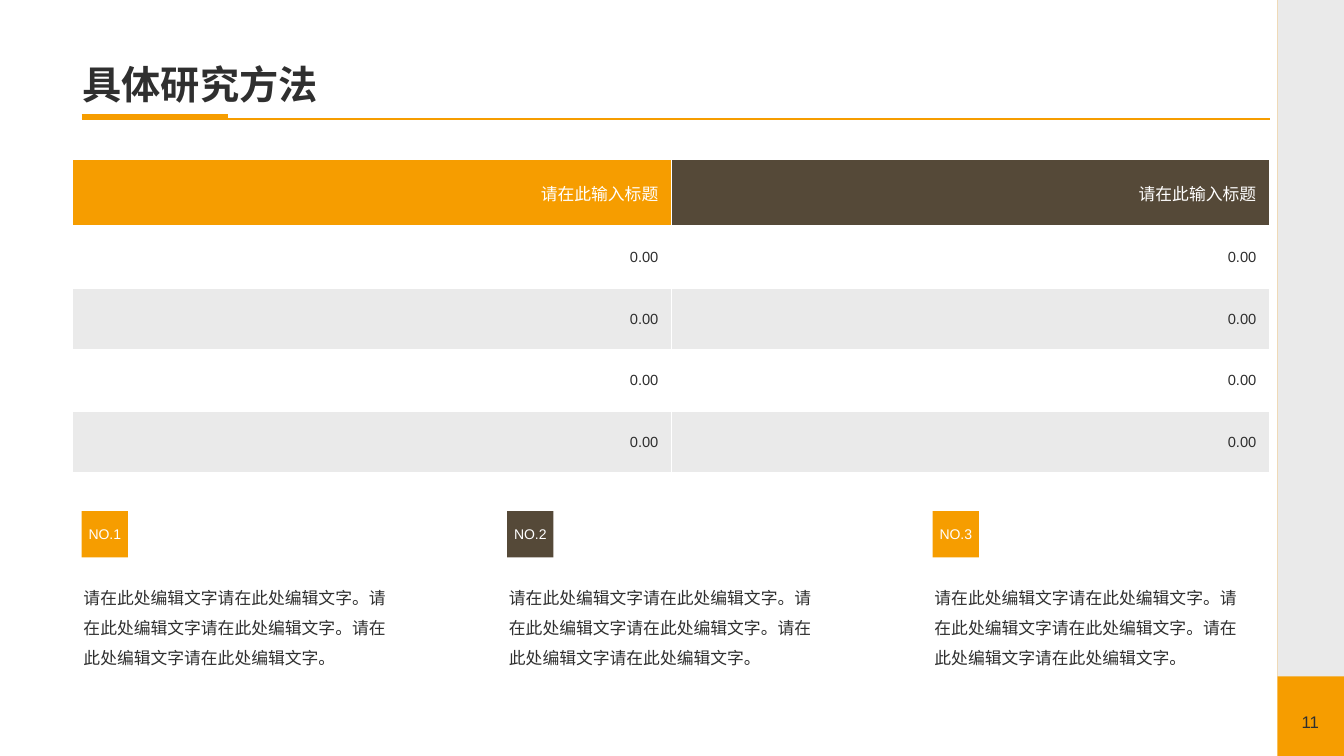
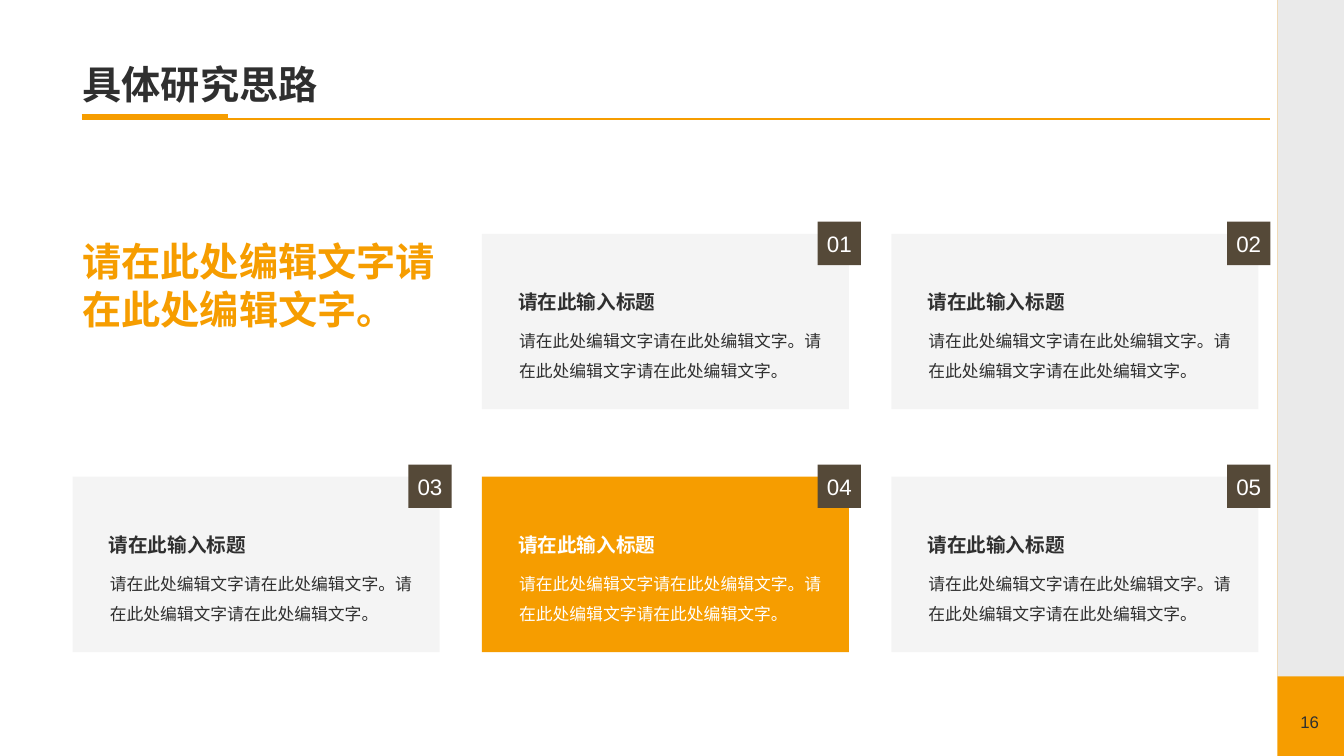
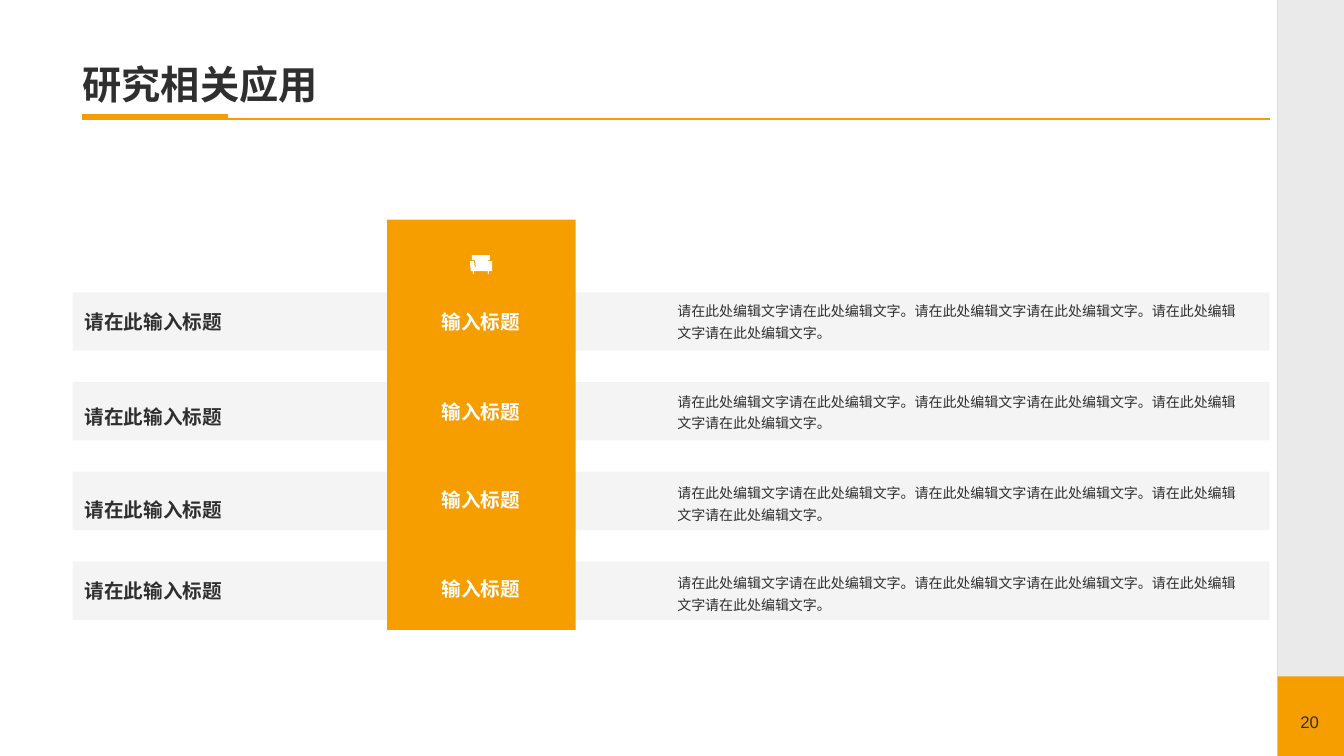
from lxml.etree import SubElement
from pptx import Presentation
from pptx.dml.color import RGBColor
from pptx.enum.shapes import MSO_CONNECTOR, MSO_SHAPE
from pptx.enum.text import MSO_ANCHOR, MSO_AUTO_SIZE, PP_ALIGN
from pptx.oxml import parse_xml
from pptx.oxml.ns import nsdecls, qn
from pptx.util import Inches, Pt

ORANGE, BROWN, INK, WHITE = "F69D00", "554938", "2F2F2F", "FFFFFF"
PANEL, GRAY, CHARCOAL = "EAEAEA", "979797", "393939"
HEADING = "请在此输入标题"
SHORT_HEADING = "输入标题"
SENTENCE = "请在此处编辑文字请在此处编辑文字。"


def rgb(color):
    return RGBColor.from_string(color)


def paint(fill, owner, color, opacity=100):
    fill.solid()
    fill.fore_color.rgb = rgb(color)
    if opacity < 100:
        swatch = next(owner.iter(qn("a:srgbClr")))
        SubElement(swatch, qn("a:alpha")).set("val", str(opacity * 1000))


class Deck:
    font = "Arial"

    def __init__(self):
        self.presentation = Presentation()
        self.presentation.slide_width = Inches(13.33)
        self.presentation.slide_height = Inches(7.5)
        self.layout = self.presentation.slide_layouts[5]
        self.slide = None

    def add_slide(self, title, number):
        first = self.slide is None
        self.slide = self.presentation.slides.add_slide(self.layout)
        if first:
            self.furnish_layout()
        heading = self.slide.shapes.title
        heading.left, heading.top = Inches(0.72), Inches(0)
        heading.width, heading.height = Inches(11.88), Inches(1.12)
        heading.text_frame.auto_size = MSO_AUTO_SIZE.NONE
        self.set_text(heading.text_frame, title, 28, INK, bold=True,
                      anchor=MSO_ANCHOR.BOTTOM, spacing=0.9)
        self.text(10.27, 7.04, 2.91, 0.24, str(number), 12, align=PP_ALIGN.RIGHT,
                  anchor=MSO_ANCHOR.MIDDLE, grow=False)

    def furnish_layout(self):
        furniture = [
            self.box(12.67, 0, 0.66, 7.5, ORANGE),
            self.box(12.67, 0, 0.66, 6.71, PANEL),
            self.rule(0.81, 12.6, 1.18, 1),
            self.rule(0.81, 2.26, 1.15, 3),
        ]
        for piece in furniture:
            self.layout.shapes.element.append(piece.element)

    def set_text(self, frame, words, size, color, bold=False, align=PP_ALIGN.LEFT,
                 anchor=MSO_ANCHOR.TOP, spacing=None):
        frame.vertical_anchor = anchor
        paragraph = frame.paragraphs[0]
        paragraph.text = words
        paragraph.alignment = align
        if spacing:
            paragraph.line_spacing = spacing
        paragraph.font.name = self.font
        paragraph.font.size = Pt(size)
        paragraph.font.bold = bold
        paragraph.font.color.rgb = rgb(color)

    def text(self, left, top, width, height, words, size, color=INK, grow=True, **style):
        label = self.slide.shapes.add_textbox(
            Inches(left), Inches(top), Inches(width), Inches(height))
        label.text_frame.word_wrap = True
        if grow:
            label.text_frame.auto_size = MSO_AUTO_SIZE.SHAPE_TO_FIT_TEXT
        self.set_text(label.text_frame, words, size, color, **style)

    def finish(self, shape, color, opacity=100):
        shape.shadow.inherit = False
        shape.line.fill.background()
        paint(shape.fill, shape.element, color, opacity)
        return shape

    def box(self, left, top, width, height, color, opacity=100):
        shape = self.slide.shapes.add_shape(
            MSO_SHAPE.RECTANGLE, Inches(left), Inches(top), Inches(width), Inches(height))
        return self.finish(shape, color, opacity)

    def badge(self, left, top, side, words, size, color):
        square = self.box(left, top, side, side, color)
        square.text_frame.word_wrap = False
        self.set_text(square.text_frame, words, size, WHITE,
                      align=PP_ALIGN.CENTER, anchor=MSO_ANCHOR.MIDDLE)

    def rule(self, start, end, top, weight):
        line = self.slide.shapes.add_connector(
            MSO_CONNECTOR.STRAIGHT, Inches(start), Inches(top), Inches(end), Inches(top))
        line.line.color.rgb = rgb(ORANGE)
        line.line.width = Pt(weight)
        SubElement(line.element.spPr, qn("a:effectLst"))
        return line

    def icon(self, outlines, color):
        first, *others = outlines
        builder = self.slide.shapes.build_freeform(*first[0], scale=Inches(0.01))
        builder.add_line_segments(first[1:], close=True)
        for outline in others:
            builder.move_to(*outline[0])
            builder.add_line_segments(outline[1:], close=True)
        self.finish(builder.convert_to_shape(), color)

    def table(self, left, top, widths, heights, rows, header_colors):
        grid = self.slide.shapes.add_table(
            len(rows), len(widths), Inches(left), Inches(top),
            Inches(sum(widths)), Inches(sum(heights))).table
        grid.first_row = grid.horz_banding = False
        for column, width in zip(grid.columns, widths):
            column.width = Inches(width)
        for r, values in enumerate(rows):
            grid.rows[r].height = Inches(heights[r])
            for c, value in enumerate(values):
                cell = grid.cell(r, c)
                cell.margin_left = cell.margin_right = Inches(0.13)
                cell.margin_top = cell.margin_bottom = Inches(0.07)
                cell.vertical_anchor = MSO_ANCHOR.MIDDLE
                self.set_text(cell.text_frame, value, 10.5 if r else 12,
                              INK if r else WHITE, align=PP_ALIGN.RIGHT,
                              anchor=MSO_ANCHOR.MIDDLE)
                properties = cell._tc.get_or_add_tcPr()
                if r == 0:
                    paint(cell.fill, properties, header_colors[c])
                elif r % 2 == 0:
                    paint(cell.fill, properties, GRAY, 20)
                else:
                    cell.fill.background()
                self.border(properties, bottom=1 if r else 3)

    def border(self, properties, bottom):
        for position, (side, weight) in enumerate(
                [("L", 1), ("R", 1), ("T", 1), ("B", bottom)]):
            properties.insert(position, parse_xml(
                f'<a:ln{side} {nsdecls("a")} w="{Pt(weight)}"><a:solidFill>'
                f'<a:srgbClr val="{WHITE}"/></a:solidFill></a:ln{side}>'))

    def card(self, left, top, number, highlighted=False):
        ink = WHITE if highlighted else INK
        if highlighted:
            self.box(left, top, 3.64, 1.74, ORANGE)
        else:
            self.box(left, top, 3.64, 1.74, CHARCOAL, 5)
        self.text(left + 0.27, top + 0.81, 3.21, 0.67, SENTENCE * 2, 12, ink, spacing=1.5)
        self.text(left + 0.26, top + 0.39, 3.21, 0.41, HEADING, 14, ink,
                  bold=True, spacing=1.5)
        self.badge(left + 3.33, top - 0.12, 0.43, f"{number:02}", 16, BROWN)


def methods_slide(deck):
    deck.add_slide("具体研究方法", 11)
    deck.table(0.72, 1.58, [5.94, 5.93], [0.67] + [0.61] * 4,
               [[HEADING] * 2] + [["0.00"] * 2] * 4, [ORANGE, BROWN])
    for index, color in enumerate([ORANGE, BROWN, ORANGE]):
        left = 0.73 + 4.22 * index
        deck.text(left, 5.68, 3.33, 0.97, SENTENCE * 3, 12, spacing=1.5)
        deck.badge(left + 0.08, 5.07, 0.46, f"NO.{index + 1}", 10, color)


def approach_slide(deck):
    deck.add_slide("具体研究思路", 16)
    deck.text(0.72, 2.31, 3.88, 1.04, SENTENCE, 28, ORANGE, bold=True)
    for number in range(1, 6):
        row, column = divmod(number, 3)
        deck.card(0.72 + 4.06 * column, 2.32 + 2.41 * row, number, number == 4)


def applications_slide(deck):
    deck.add_slide("研究相关应用", 20)
    for row in range(4):
        deck.box(0.72, 2.9 + 0.89 * row, 11.87, 0.58, GRAY, 10)
    deck.box(3.84, 2.18, 1.87, 4.07, ORANGE)
    label_tops = [(3.02, 3.02, 2.9), (3.96, 3.91, 3.8), (4.88, 4.78, 4.71), (5.69, 5.67, 5.6)]
    for heading_top, column_top, detail_top in label_tops:
        deck.text(0.74, heading_top, 2.83, 0.34, HEADING, 14, bold=True,
                  anchor=MSO_ANCHOR.BOTTOM)
        deck.text(3.95, column_top, 1.64, 0.34, SHORT_HEADING, 14, WHITE, bold=True,
                  align=PP_ALIGN.CENTER, anchor=MSO_ANCHOR.BOTTOM)
        deck.text(6.62, detail_top, 5.8, 0.52, SENTENCE * 3, 10, spacing=1.3)
    sofa_seat = [(470, 259), (471, 265), (483, 265), (484, 259), (488, 259), (488, 269),
                 (485, 269), (485, 272), (484, 272), (484, 269), (470, 269), (470, 272),
                 (469, 272), (469, 269), (467, 269), (466, 259)]
    sofa_back = [(486, 253), (486, 258), (484, 258), (483, 265), (472, 265), (471, 258),
                 (468, 258), (468, 253)]
    deck.icon([sofa_seat, sofa_back], WHITE)


def main():
    deck = Deck()
    methods_slide(deck)
    approach_slide(deck)
    applications_slide(deck)
    deck.presentation.save("out.pptx")


if __name__ == "__main__":
    main()
